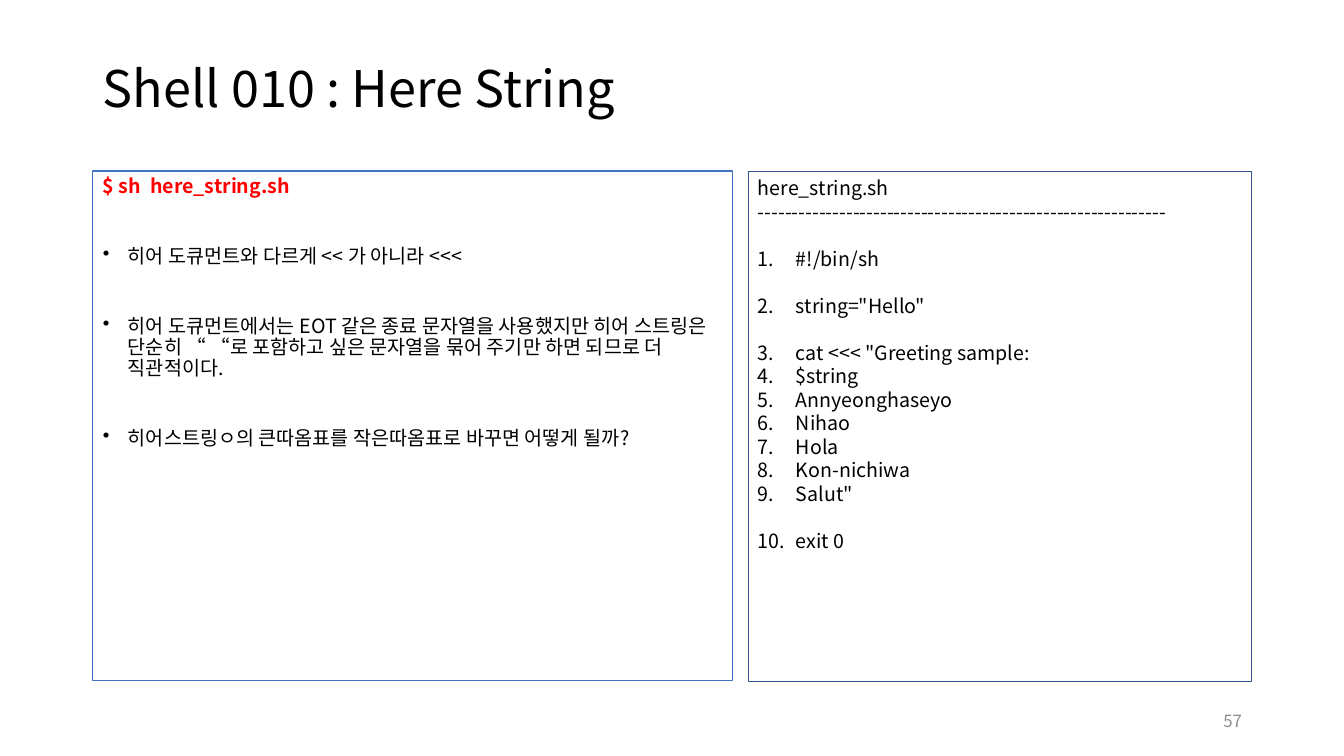
import pptx
import pptx.util
import pptx.dml.color
import pptx.enum.shapes
import pptx.enum.text
import pptx.oxml.ns
import lxml.etree

PX = 914400 / 100.8
FONT = "Noto Sans CJK KR"
COLORS = {
    "text": "000000",
    "command": "FF0000",
    "number": "8C8C8C",
    "notes line": "4472C4",
    "code line": "325491",
}
NOTES = [
    "히어 도큐먼트와 다르게 << 가 아니라 <<<",
    "히어 도큐먼트에서는 EOT 같은 종료 문자열을 사용했지만 히어 스트링은 단순히 “ “로 "
    "포함하고 싶은 문자열을 묶어 주기만 하면 되므로 더 직관적이다.",
    "히어스트링ㅇ의 큰따옴표를 작은따옴표로 바꾸면 어떻게 될까?",
]
CODE_BLOCKS = [
    ["#!/bin/sh"],
    ['string="Hello"'],
    ['cat <<< "Greeting sample:', "$string", "Annyeonghaseyo", "Nihao", "Hola", "Kon-nichiwa", 'Salut"'],
    ["exit 0"],
]
NOTES_PITCH = pptx.util.Pt(15.1)
CODE_PITCH = pptx.util.Pt(16.8)


def add_box(left, top, width, height, line=None, weight=0):
    box = slide.shapes.add_shape(
        pptx.enum.shapes.MSO_SHAPE.RECTANGLE,
        *(round(length * PX) for length in (left, top, width, height)),
    )
    box.shadow.inherit = False
    box.fill.background()
    if line:
        box.line.color.rgb = pptx.dml.color.RGBColor.from_string(COLORS[line])
        box.line.width = pptx.util.Pt(weight)
    else:
        box.line.fill.background()
    box.text_frame.word_wrap = True
    box.text_frame.vertical_anchor = (
        pptx.enum.text.MSO_ANCHOR.TOP if line else pptx.enum.text.MSO_ANCHOR.MIDDLE
    )
    return box.text_frame


def write(frame, text, size=14, color="text", spacing=1.0, before=0, bullet=None, indent=0, bold=False):
    para = frame.paragraphs[0]
    if para.runs:
        para = frame.add_paragraph()
    para.add_run().text = text
    para.alignment = pptx.enum.text.PP_ALIGN.LEFT
    para.line_spacing = spacing
    para.space_before = pptx.util.Pt(before)
    if bullet:
        properties = para._p.get_or_add_pPr()
        properties.set("marL", str(round(indent * PX)))
        properties.set("indent", str(round(-indent * PX)))
        tag, attribute, value = bullet
        mark = lxml.etree.SubElement(properties, pptx.oxml.ns.qn(tag))
        mark.set(attribute, value)
    para.font.name = FONT
    east_asian = lxml.etree.SubElement(para.font._element, pptx.oxml.ns.qn("a:ea"))
    east_asian.set("typeface", FONT)
    para.font.size = pptx.util.Pt(size)
    para.font.bold = bold
    para.font.color.rgb = pptx.dml.color.RGBColor.from_string(COLORS[color])
    return para


deck = pptx.Presentation()
deck.slide_width = round(1344 * PX)
deck.slide_height = round(756 * PX)
slide = deck.slides.add_slide(deck.slide_layouts[6])

title = add_box(93, 40, 1159, 102)
write(title, "Shell 010 : Here String", size=36, spacing=0.9)

notes = add_box(93, 171, 640, 510, "notes line", 0.75)
write(notes, "$ sh  here_string.sh", color="command", spacing=NOTES_PITCH, bold=True)
for note in NOTES:
    write(notes, note, spacing=NOTES_PITCH, before=35, bullet=("a:buChar", "char", "•"), indent=25)

number = add_box(950, 701, 302, 40)
write(number, "57", size=12, color="number").alignment = pptx.enum.text.PP_ALIGN.RIGHT

code = add_box(748, 171, 503, 510, "code line", 0.25)
for heading in ("here_string.sh", "-" * 60):
    write(code, heading, spacing=CODE_PITCH)
for block in CODE_BLOCKS:
    for position, command in enumerate(block):
        write(
            code, command, spacing=CODE_PITCH, before=0 if position else 16.8,
            bullet=("a:buAutoNum", "type", "arabicPeriod"), indent=38,
        )

deck.save("out.pptx")
